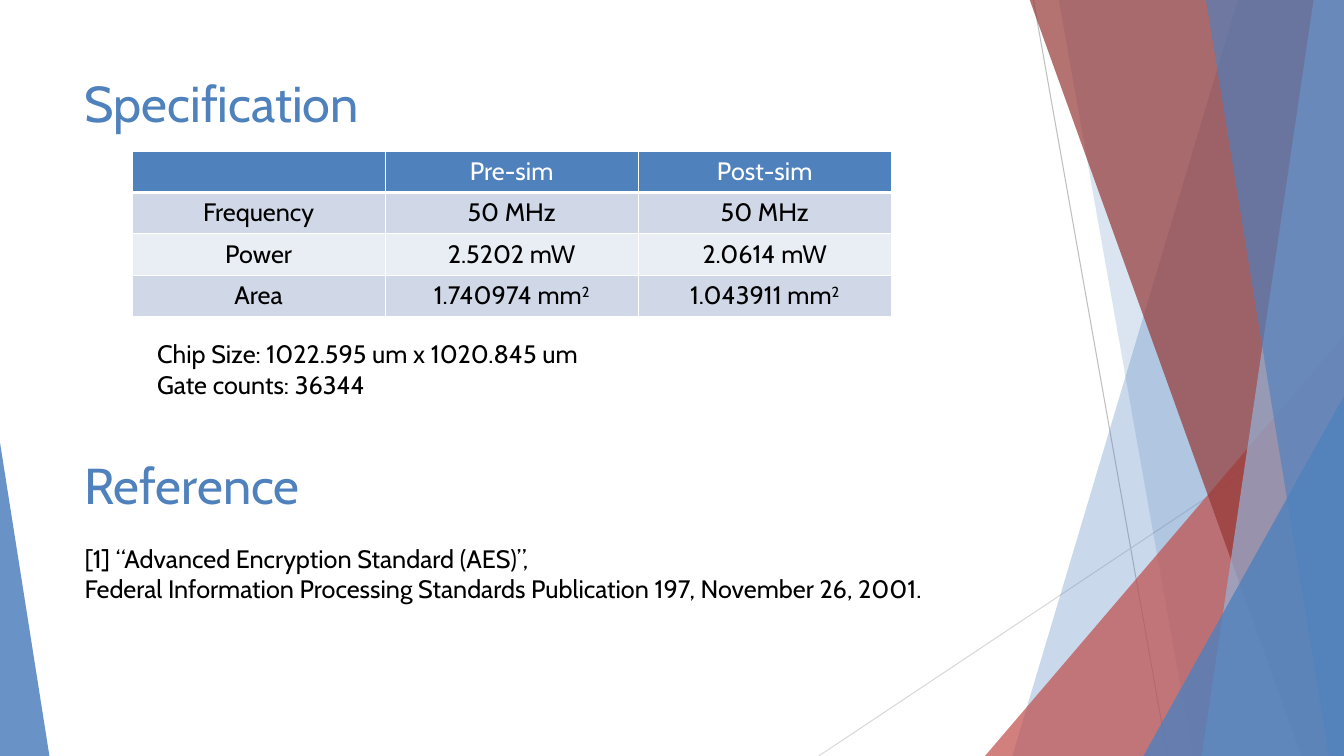
from lxml import etree
from pptx import Presentation, util as u
from pptx.dml.color import RGBColor
from pptx.enum import shapes, text
from pptx.oxml import ns

COLORS = {
    "blue": "4F81BD", "pale blue": "95B3D7", "red": "C0504D",
    "dark red": "953735", "black": "000000", "white": "FFFFFF",
    "gray": "BFBFBF", "light gray": "D9D9D9",
    "odd row": "D0D8E8", "even row": "E9EDF4",
}
WIDTH, HEIGHT = 13.33, 7.5
FRAME = {"vertical_anchor": text.MSO_ANCHOR.TOP, "auto_size": text.MSO_AUTO_SIZE.NONE}
HEADING = {"size": u.Pt(36), "name": "Cabin"}
BODY = {"size": u.Pt(18), "name": "Cabin"}


def color(name):
    return RGBColor.from_string(COLORS[name])


def apply(target, values):
    for key, value in values.items():
        setattr(target, key, value)


class SlideBuilder:
    def __init__(self, presentation):
        self.slide = presentation.slides.add_slide(presentation.slide_layouts[6])
        self.shapes = self.slide.shapes

    def line(self, start, end, color_name):
        ends = [u.Inches(value) for value in (*start, *end)]
        connector = self.shapes.add_connector(shapes.MSO_CONNECTOR.STRAIGHT, *ends)
        connector.line.color.rgb = color(color_name)
        connector.line.width = u.Pt(0.75)
        etree.SubElement(connector._element.spPr, ns.qn("a:effectLst"))

    def paint(self, shape, color_name, opacity):
        shape.shadow.inherit = False
        shape.line.fill.background()
        shape.fill.solid()
        shape.fill.fore_color.rgb = color(color_name)
        value = shape._element.spPr.find(".//" + ns.qn("a:srgbClr"))
        etree.SubElement(value, ns.qn("a:alpha"), val=str(opacity * 1000))

    def band(self, top_x, bottom_x, color_name, opacity):
        corners = [(top_x, -0.01), (WIDTH, -0.01), (WIDTH, HEIGHT), (bottom_x, HEIGHT)]
        points = [(u.Inches(x), u.Inches(y)) for x, y in corners]
        builder = self.shapes.build_freeform(*points[0])
        builder.add_line_segments(points[1:], close=True)
        self.paint(builder.convert_to_shape(), color_name, opacity)

    def corner(self, left, top, width, apex, color_name, opacity):
        box = [u.Inches(value) for value in (left, top, width, HEIGHT - top)]
        shape = self.shapes.add_shape(shapes.MSO_SHAPE.ISOSCELES_TRIANGLE, *box)
        shape.adjustments[0] = apex
        self.paint(shape, color_name, opacity)

    def text(self, box, paragraphs, style, color_name, wrap=True):
        frame = self.shapes.add_textbox(*[u.Inches(value) for value in box]).text_frame
        apply(frame, {**FRAME, "word_wrap": wrap})
        for index, content in enumerate(paragraphs):
            paragraph = frame.add_paragraph() if index else frame.paragraphs[0]
            paragraph.text = content
            for run in paragraph.runs:
                apply(run.font, style)
                run.font.color.rgb = color(color_name)

    def border(self, cell, side, width):
        properties = cell._tc.get_or_add_tcPr()
        edge = etree.SubElement(properties, ns.qn("a:ln" + side), w=str(u.Pt(width)))
        fill = etree.SubElement(edge, ns.qn("a:solidFill"))
        etree.SubElement(fill, ns.qn("a:srgbClr"), val=COLORS["white"])

    def cell(self, cell, content, fill_name, color_name, bottom_width):
        for side in "LRTB":
            self.border(cell, side, bottom_width if side == "B" else 1)
        cell.fill.solid()
        cell.fill.fore_color.rgb = color(fill_name)
        paragraph = cell.text_frame.paragraphs[0]
        paragraph.alignment = text.PP_ALIGN.CENTER
        apply(paragraph.font, BODY)
        base, _, exponent = content.partition("^")
        for part, baseline in ((base, 0), (exponent, 30000)):
            if part:
                run = paragraph.add_run()
                run.text = part
                apply(run.font, BODY)
                run.font.color.rgb = color(color_name)
                if baseline:
                    run._r.get_or_add_rPr().set("baseline", str(baseline))

    def table(self, left, top, column_width, row_height, rows):
        size = (column_width * len(rows[0]), row_height * len(rows))
        box = [u.Inches(value) for value in (left, top, *size)]
        table = self.shapes.add_table(len(rows), len(rows[0]), *box).table
        for column in table.columns:
            column.width = u.Inches(column_width)
        for index, values in enumerate(rows):
            table.rows[index].height = u.Inches(row_height)
            if index == 0:
                look = ("blue", "white", 3)
            else:
                look = ("odd row" if index % 2 else "even row", "black", 1)
            for column, content in enumerate(values):
                self.cell(table.cell(index, column), content, *look)


def main():
    presentation = Presentation()
    presentation.slide_width = u.Inches(WIDTH)
    presentation.slide_height = u.Inches(HEIGHT)
    builder = SlideBuilder(presentation)

    builder.line((10.25, 0), (11.58, HEIGHT), "gray")
    builder.line((WIDTH, 4.03), (8.12, HEIGHT), "light gray")
    builder.band(12.28, 10.04, "blue", 30)
    builder.band(10.5, 11.83, "blue", 20)
    builder.corner(9.77, 3.33, 3.56, 1, "red", 72)
    builder.band(10.21, 12.91, "dark red", 70)
    builder.band(13.03, 11.92, "pale blue", 70)
    builder.band(11.96, 13.18, "blue", 65)
    builder.corner(11.34, 3.93, 1.99, 1, "blue", 80)
    builder.corner(0, 4.39, 0.49, 0, "blue", 85)

    for top, heading in ((0.67, "Specification"), (4.46, "Reference")):
        builder.text((0.74, top, 9.4, 1.44), [heading], HEADING, "blue")
    builder.text((0.74, 5.34, 9.15, 1.31), [
        "[1] “Advanced Encryption Standard (AES)”,",
        "Federal Information Processing Standards Publication 197, November 26, 2001.",
    ], BODY, "black", wrap=False)
    builder.table(1.31, 1.5, 2.51, 0.41, [
        ("", "Pre-sim", "Post-sim"),
        ("Frequency", "50 MHz", "50 MHz"),
        ("Power", "2.5202 mW", "2.0614 mW"),
        ("Area", "1.740974 mm^2", "1.043911 mm^2"),
    ])
    builder.text((1.46, 3.31, 4.57, 0.71), [
        "Chip Size: 1022.595 um x 1020.845 um\vGate counts: 36344",
    ], BODY, "black", wrap=False)

    presentation.save("out.pptx")


if __name__ == "__main__":
    main()
